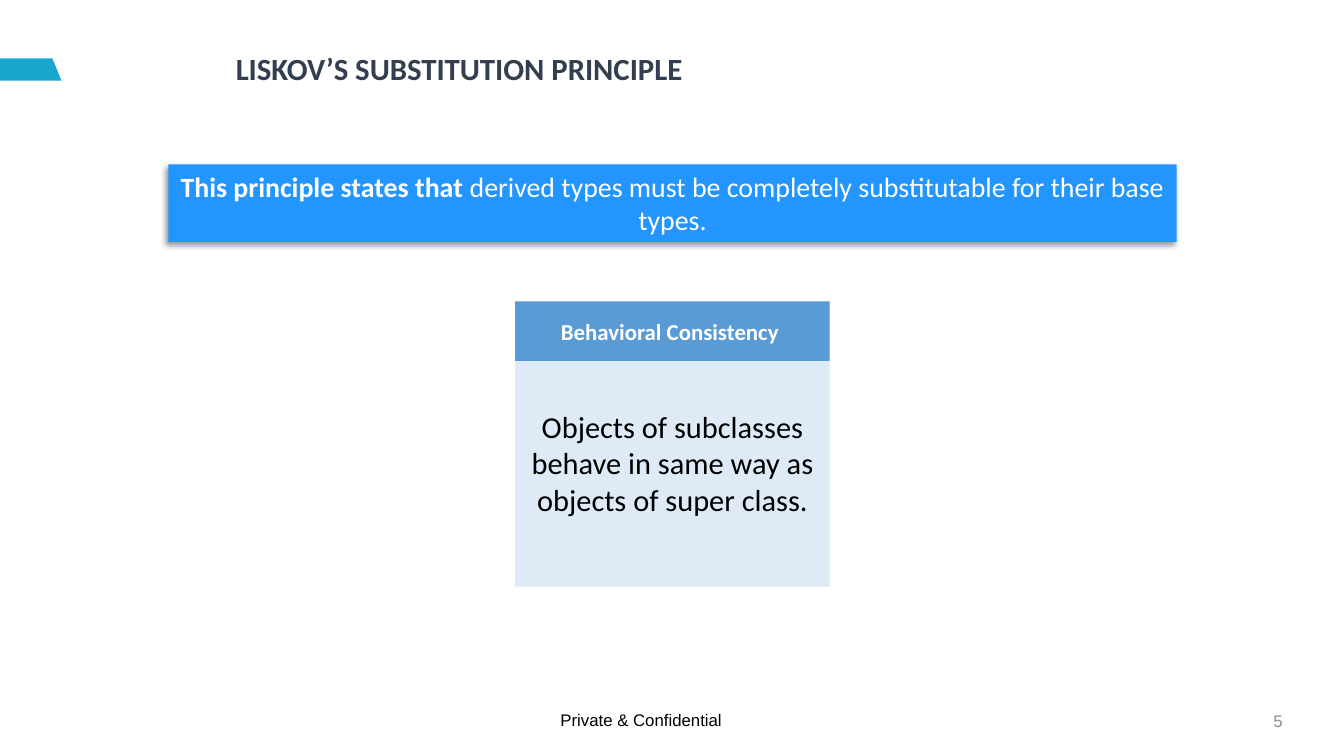
import pptx
import pptx.util
import pptx.dml.color
import pptx.enum.shapes
import pptx.enum.text
import pptx.oxml
import pptx.oxml.ns

Inches = pptx.util.Inches
ALIGN = pptx.enum.text.PP_ALIGN
ANCHOR = pptx.enum.text.MSO_ANCHOR
COLORS = {
    "accent": "19A7CE", "title": "333F50", "banner": "2295FF",
    "header": "5B9BD5", "body": "DEEBF7", "white": "FFFFFF",
    "black": "000000", "grey": "8C8C8C",
}


def paint(sp, color):
    sp.shadow.inherit = False
    sp.fill.solid()
    sp.fill.fore_color.rgb = pptx.dml.color.RGBColor.from_string(COLORS[color])
    sp.line.fill.background()


def add_text(box, text, size, color, fill=None, font="Calibri", bold=False,
             align=ALIGN.LEFT, anchor=ANCHOR.MIDDLE, wrap=True, top=0.05,
             spacing=None, after=None, tail=None):
    box = [Inches(v) for v in box]
    if fill:
        sp = s.shapes.add_shape(pptx.enum.shapes.MSO_SHAPE.RECTANGLE, *box)
        paint(sp, fill)
    else:
        sp = s.shapes.add_textbox(*box)
    tf = sp.text_frame
    tf.word_wrap = wrap
    tf.vertical_anchor = anchor
    tf.margin_top = Inches(top)
    p = tf.paragraphs[0]
    p.alignment = align
    p.line_spacing = spacing
    if after:
        p.space_after = pptx.util.Pt(after)
    for words, heavy in ((text, bold), (tail, False)):
        if words:
            r = p.add_run()
            r.text = words
            r.font.name = font
            r.font.size = pptx.util.Pt(size)
            r.font.bold = heavy
            r.font.color.rgb = pptx.dml.color.RGBColor.from_string(COLORS[color])
    return sp


prs = pptx.Presentation()
prs.slide_width, prs.slide_height = Inches(13.33), Inches(7.5)
s = prs.slides.add_slide(prs.slide_layouts[6])

fb = s.shapes.build_freeform(Inches(0.52), Inches(0.58))
fb.add_line_segments([(Inches(x), Inches(y)) for x, y in
                      ((0, 0.58), (0, 0.8), (0.61, 0.8))], close=True)
paint(fb.convert_to_shape(), "accent")

add_text((9.82, 6.95, 3, 0.4), "5", 12, "grey", font="Arial", align=ALIGN.RIGHT)
add_text((5.46, 6.99, 1.81, 0.3), "Private & Confidential", 12, "black",
         font="Arial", anchor=ANCHOR.TOP, wrap=False)
add_text((2.24, 0.37, 8, 0.65), "LISKOV’S SUBSTITUTION PRINCIPLE", 22, "title",
         bold=True, spacing=0.9)

banner = add_text((1.67, 1.63, 10, 0.77), "This principle states that\u00a0", 19.9,
                  "white", fill="banner", bold=True, align=ALIGN.CENTER,
                  anchor=ANCHOR.TOP, after=7.5,
                  tail="derived types must be completely substitutable for their base types.")
effects = banner.element.spPr.find(pptx.oxml.ns.qn("a:effectLst"))
effects.append(pptx.oxml.parse_xml(
    f'<a:outerShdw {pptx.oxml.ns.nsdecls("a")} blurRad="{pptx.util.Pt(4)}" '
    f'dist="{pptx.util.Pt(3)}" dir="{135 * 60000}" algn="tr" rotWithShape="0">'
    f'<a:srgbClr val="{COLORS["black"]}"><a:alpha val="40000"/></a:srgbClr>'
    '</a:outerShdw>'))

card_left, card_top, card_width = 5.11, 2.99, 3.12
add_text((card_left, card_top, card_width, 2.83),
         "Objects of subclasses behave in same way as objects of super class.",
         21.7, "black", fill="body", align=ALIGN.CENTER, top=0.42)
add_text((card_left, card_top, card_width, 0.59), "Behavioral Consistency\u00a0",
         16.3, "white", fill="header", bold=True, align=ALIGN.CENTER)

prs.save("out.pptx")
